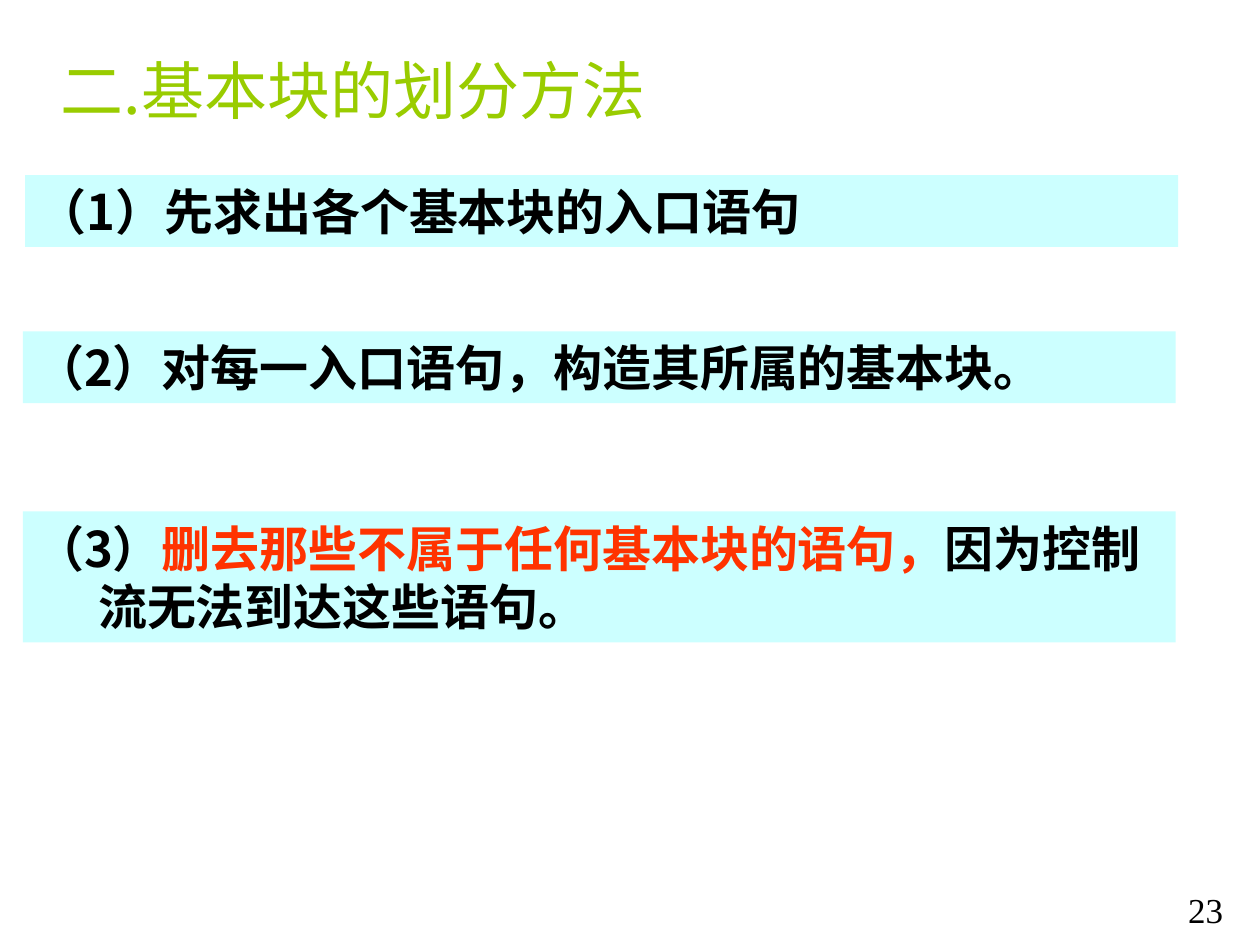
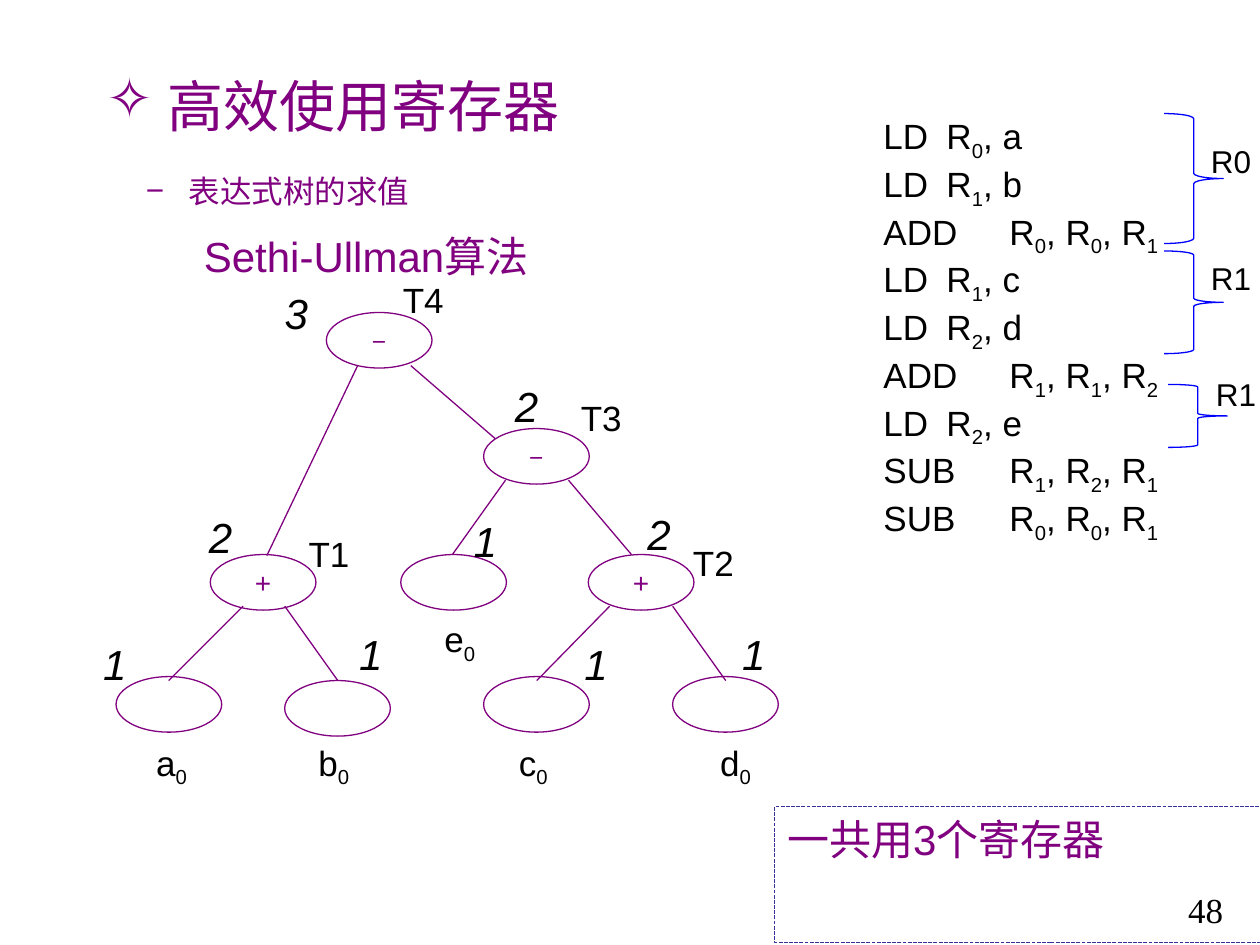
"""Builds two compiler-course slides: dividing basic blocks and using registers well."""
from lxml import etree
from pptx import Presentation
from pptx import util as u
from pptx.dml import color
from pptx.enum import dml, shapes, text
from pptx.oxml import ns

CJK, LATIN, SERIF = "Noto Sans CJK SC", "Arial", "Times New Roman"
BLACK, WHITE, PURPLE, GREEN = "000000", "FFFFFF", "800080", "99CC00"
PALE, RED, BLUE, NAVY = "CCFFFF", "FF3300", "0000FF", "333399"
TOP, MIDDLE = text.MSO_ANCHOR.TOP, text.MSO_ANCHOR.MIDDLE
INSETS, FLAT_INSETS, NODE_INSETS = (0.25, 0.13), (0.25, 0), (0.15, 0.03)
TITLE_ONLY, TITLE_AND_BODY = 5, 1
NODE_SIZE = (2.13, 1.12)

STEPS = [
    ((0.51, 3.53, 23.24, 1.45), [("（1）先求出各个基本块的入口语句", BLACK)]),
    ((0.46, 6.68, 23.24, 1.45), [("（2）对每一入口语句，构造其所属的基本块。", BLACK)]),
    ((0.46, 10.31, 23.24, 2.64), [("（3）", BLACK),
                                  ("删去那些不属于任何基本块的语句，", RED),
                                  ("因为控制流无法到达这些语句。", BLACK)]),
]
CODE = ["LD\tR_0, a", "LD\tR_1, b", "ADD\tR_0, R_0, R_1",
        "LD\tR_1, c", "LD\tR_2, d", "ADD\tR_1, R_1, R_2",
        "LD\tR_2, e", "SUB\tR_1, R_2, R_1", "SUB\tR_0, R_0, R_1"]
OPERAND_STOPS = {"LD": 1.7, "ADD": 2.29, "SUB": 2.25}
RESULTS = [("R0", (23.47, 2.29, 1.19, 2.62), (24.16, 2.74)),
           ("R1", (23.47, 5.06, 1.19, 2.07), (24.16, 5.1)),
           ("R1", (23.55, 7.75, 1.19, 1.27), (24.26, 7.44))]
NODES = [("T4", "−", "3", (6.58, 6.3), (7.87, 5.61), (5.49, 5.79)),
         ("T3", "−", "2", (9.75, 8.64), (11.46, 8), (10.13, 7.67)),
         ("T1", "+", "2", (4.24, 11.18), (5.97, 10.74), (3.96, 10.31)),
         ("e_0", "", "1", (8.08, 11.18), (8.71, 12.45), (9.3, 10.39)),
         ("T2", "+", "2", (11.86, 11.18), (13.72, 10.92), (12.8, 10.26)),
         ("a_0", "", "1", (2.34, 13.64), (2.9, 14.94), (1.83, 12.88)),
         ("b_0", "", "1", (5.74, 13.72), (6.17, 14.94), (6.99, 12.67)),
         ("c_0", "", "1", (9.75, 13.64), (10.21, 14.94), (11.53, 12.88)),
         ("d_0", "", "1", (13.56, 13.64), (14.27, 14.94), (14.71, 12.67))]
BRANCHES = [(7.21, 7.37, 5.38, 11.2), (8.28, 7.37, 9.98, 8.84),
            (10.19, 9.68, 9.12, 11.18), (11.46, 9.68, 12.73, 11.18),
            (4.9, 12.22, 3.4, 13.72), (5.74, 12.22, 6.81, 13.72),
            (12.29, 12.22, 10.82, 13.72), (13.56, 12.22, 14.63, 13.72)]


def rgb(value):
    """Turn a hex string into a colour."""
    return color.RGBColor.from_string(value)


def cm(values):
    """Turn numbers into centimetre lengths."""
    return [u.Cm(value) for value in values]


def write(paragraph, words, size=20, font=LATIN, ink=BLACK, bold=False, italic=False):
    """Add formatted text, lowering the character after each underscore."""
    first, *rest = words.split("_")
    pieces = [(first, False)]
    for part in rest:
        pieces += [(part[0], True), (part[1:], False)]
    for piece, lowered in pieces:
        if not piece:
            continue
        run = paragraph.add_run()
        run.text = piece
        run.font.size, run.font.bold, run.font.italic = u.Pt(size), bold, italic
        run.font.color.rgb = rgb(ink)
        run.font.name = font
        properties = run.font._element
        etree.SubElement(properties, ns.qn("a:ea"), typeface=CJK)
        if lowered:
            properties.set("baseline", "-25000")


def layout(paragraph, left=0, first=0, bullet=None, before=0, align=text.PP_ALIGN.LEFT):
    """Set indents, bullet, spacing and alignment of a paragraph."""
    paragraph.alignment = align
    paragraph.space_before = u.Pt(before)
    properties = paragraph._p.get_or_add_pPr()
    properties.set("marL", str(u.Cm(left)))
    properties.set("indent", str(u.Cm(first)))
    if bullet:
        tint = etree.SubElement(properties, ns.qn("a:buClr"))
        etree.SubElement(tint, ns.qn("a:srgbClr"), val=PURPLE)
        etree.SubElement(properties, ns.qn("a:buChar"), char=bullet)
    else:
        etree.SubElement(properties, ns.qn("a:buNone"))


def prepare(holder, insets=INSETS, wrap=True, anchor=TOP):
    """Set up a text frame and return it."""
    frame = holder.text_frame
    frame.auto_size = text.MSO_AUTO_SIZE.NONE
    frame.word_wrap, frame.vertical_anchor = wrap, anchor
    frame.margin_left = frame.margin_right = u.Cm(insets[0])
    frame.margin_top = frame.margin_bottom = u.Cm(insets[1])
    return frame


class Deck:
    """Holds the presentation, its shared style and the current slide."""

    def __init__(self):
        """Start a 4:3 presentation."""
        self.show = Presentation()
        self.show.slide_width, self.show.slide_height = cm((25.4, 19.05))
        self.slide = None

    def start(self, kind, number):
        """Open a slide with its page number."""
        self.slide = self.show.slides.add_slide(self.show.slide_layouts[kind])
        self.slide.background.fill.solid()
        self.slide.background.fill.fore_color.rgb = rgb(WHITE)
        self.label(number, (23.7, 17.78, 1.7, 1.12), INSETS, font=SERIF)

    def placeholder(self, index, box):
        """Move a placeholder and return its text frame."""
        holder = self.slide.placeholders[index]
        holder.left, holder.top, holder.width, holder.height = cm(box)
        return prepare(holder)

    def title(self, words, box, size, ink, font=LATIN, **indents):
        """Fill the title placeholder."""
        paragraph = self.placeholder(0, box).paragraphs[0]
        layout(paragraph, **indents)
        write(paragraph, words, size=size, ink=ink, font=font)

    def label(self, words, box, insets=FLAT_INSETS, wrap=False, **style):
        """Add a one-line text box."""
        holder = self.slide.shapes.add_textbox(*cm(box))
        write(prepare(holder, insets, wrap).paragraphs[0], words, **style)

    def shape(self, kind, box, fill=None, line=None):
        """Add a preset shape without shadow."""
        figure = self.slide.shapes.add_shape(kind, *cm(box))
        figure.shadow.inherit = False
        if fill:
            figure.fill.solid()
            figure.fill.fore_color.rgb = rgb(fill)
        else:
            figure.fill.background()
        if line:
            figure.line.color.rgb = rgb(line)
            figure.line.width = u.Pt(0.75)
        else:
            figure.line.fill.background()
        return figure

    def step(self, box, pieces):
        """Add a band with a hanging-indent sentence."""
        band = self.shape(shapes.MSO_SHAPE.RECTANGLE, box, fill=PALE)
        paragraph = prepare(band, anchor=MIDDLE).paragraphs[0]
        layout(paragraph, left=1.27, first=-1.27)
        for words, ink in pieces:
            write(paragraph, words, size=28, font=CJK, ink=ink, bold=True)

    def code(self, lines, box):
        """Add instructions with operands set off by a tab."""
        listing = self.slide.shapes.add_textbox(*cm(box))
        frame = prepare(listing)
        frame.margin_left = u.Cm(1.73)
        for number, line in enumerate(lines):
            paragraph = frame.add_paragraph() if number else frame.paragraphs[0]
            layout(paragraph)
            stops = etree.SubElement(paragraph._p.get_or_add_pPr(), ns.qn("a:tabLst"))
            stop = OPERAND_STOPS[line.split("\t")[0]]
            etree.SubElement(stops, ns.qn("a:tab"), pos=str(u.Cm(stop)), algn="l")
            write(paragraph, line)

    def brace(self, box):
        """Add a right brace whose curls scale with its height."""
        width, height = box[2:]
        brace = self.shape(shapes.MSO_SHAPE.RIGHT_BRACE, box, line=BLUE)
        brace.adjustments[0] = 0.04 * height / min(width, height)

    def node(self, place, operator):
        """Add a tree node with its operator."""
        oval = self.shape(shapes.MSO_SHAPE.OVAL, (*place, *NODE_SIZE), WHITE, PURPLE)
        if operator:
            paragraph = prepare(oval, NODE_INSETS, anchor=MIDDLE).paragraphs[0]
            layout(paragraph, align=text.PP_ALIGN.CENTER)
            write(paragraph, operator, size=16 if operator == "+" else 14, ink=PURPLE)

    def branch(self, ends):
        """Add a tree edge."""
        edge = self.slide.shapes.add_connector(shapes.MSO_CONNECTOR.STRAIGHT, *cm(ends))
        edge.line.color.rgb = rgb(PURPLE)
        edge.line.width = u.Pt(0.75)
        etree.SubElement(edge._element.spPr, ns.qn("a:effectLst"))


def basic_blocks(deck):
    """Build the slide on dividing basic blocks."""
    deck.start(TITLE_ONLY, "23")
    deck.title("二.基本块的划分方法", (0.51, 0.91, 13.21, 3.3), 36, GREEN, CJK,
               align=text.PP_ALIGN.CENTER)
    for box, pieces in STEPS:
        deck.step(box, pieces)


def registers(deck):
    """Build the slide on evaluating an expression tree."""
    deck.start(TITLE_AND_BODY, "48")
    deck.title("高效使用寄存器", (1.9, 1.32, 10.39, 1.63), 32, PURPLE,
               left=1.22, first=-1.22, bullet="✧")
    topics = deck.placeholder(1, (2.69, 3.33, 11.4, 2.46))
    layout(topics.paragraphs[0], left=0.86, first=-0.86, bullet="−")
    write(topics.paragraphs[0], "表达式树的求值", size=18, ink=PURPLE)
    algorithm = topics.add_paragraph()
    layout(algorithm, left=1.17, before=12)
    write(algorithm, "Sethi-Ullman算法", size=24, ink=PURPLE)

    deck.code(CODE, (16.08, 2.18, 7.59, 8.92))
    for register, brace, place in RESULTS:
        deck.brace(brace)
        deck.label(register, (*place, 1.32, 1.02), INSETS, size=18)

    conclusion = deck.shape(shapes.MSO_SHAPE.RECTANGLE, (15.62, 16.26, 11.13, 2.74), line=NAVY)
    conclusion.line.dash_style = dml.MSO_LINE.SQUARE_DOT
    paragraph = prepare(conclusion).paragraphs[0]
    layout(paragraph, left=1.47, first=-1.47)
    write(paragraph, "一共用3个寄存器", size=24, ink=PURPLE)

    for name, operator, need, oval, name_place, need_place in NODES:
        deck.node(oval, operator)
        deck.label(name, (*name_place, 1.2, 0.9))
        deck.label(need, (*need_place, 0.99, 1.02), size=24, italic=True)
    for ends in BRANCHES:
        deck.branch(ends)


def main():
    """Build and save both slides."""
    deck = Deck()
    basic_blocks(deck)
    registers(deck)
    deck.show.save("out.pptx")


if __name__ == "__main__":
    main()
